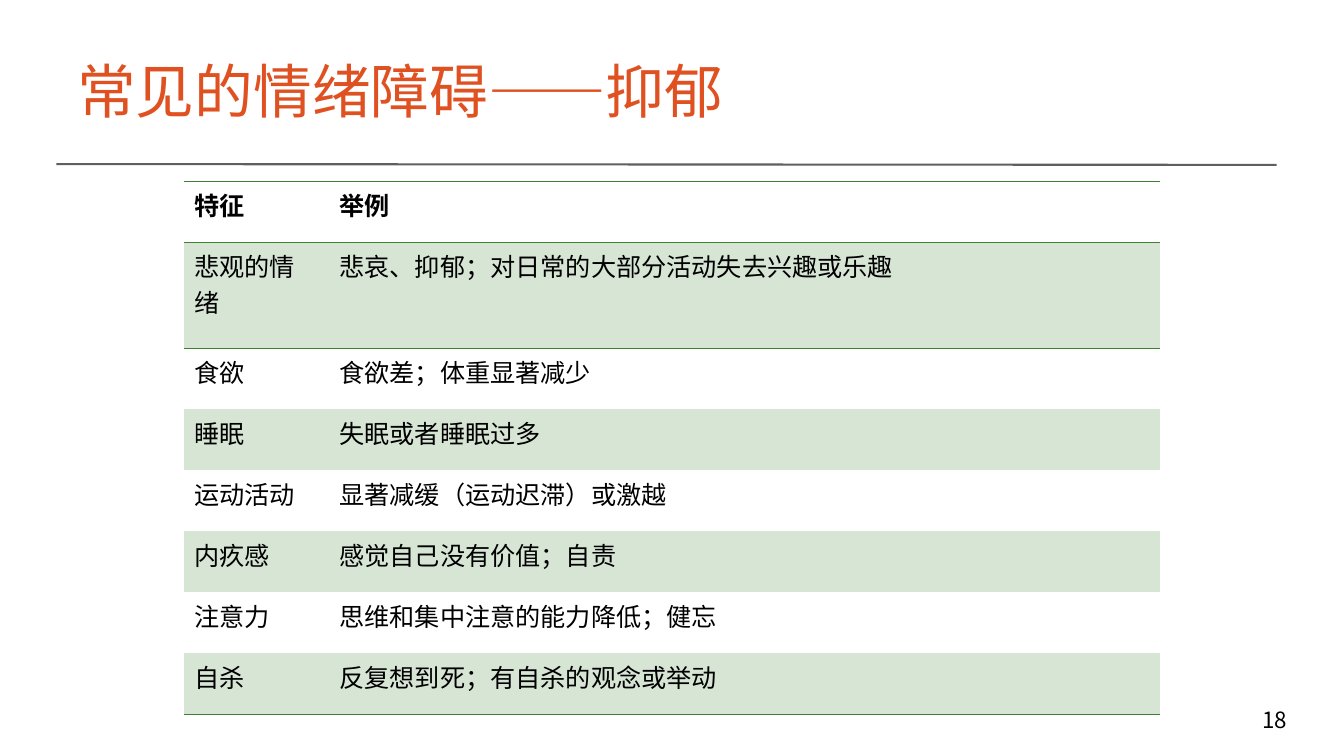
from lxml import etree
from pptx import Presentation
from pptx.dml.color import RGBColor
from pptx.enum.shapes import MSO_CONNECTOR
from pptx.enum.text import MSO_ANCHOR, PP_ALIGN
from pptx.oxml.ns import qn
from pptx.util import Cm, Pt

STRAIGHT = MSO_CONNECTOR.STRAIGHT
TOP = MSO_ANCHOR.TOP
LEFT, RIGHT = PP_ALIGN.LEFT, PP_ALIGN.RIGHT

BODY_FONT = "Noto Sans CJK SC"
TITLE_FONT = "Noto Sans CJK JP"
BLACK, ORANGE, GREY = "000000", "DF5121", "5F5F5F"
GREEN, PALE_GREEN = "3B812F", "D7E5D5"
PLAIN_TABLE_STYLE = "{2D5ABB26-0587-4C30-8999-92F81FD0307C}"

SYMPTOMS = [
    ("特征", "举例"),
    ("悲观的情绪", "悲哀、抑郁；对日常的大部分活动失去兴趣或乐趣"),
    ("食欲", "食欲差；体重显著减少"),
    ("睡眠", "失眠或者睡眠过多"),
    ("运动活动", "显著减缓（运动迟滞）或激越"),
    ("内疚感", "感觉自己没有价值；自责"),
    ("注意力", "思维和集中注意的能力降低；健忘"),
    ("自杀", "反复想到死；有自杀的观念或举动"),
]


def color(value):
    return RGBColor.from_string(value)


def write(frame, text, size=18, font=BODY_FONT, fill=BLACK, bold=False, align=LEFT):
    para = frame.paragraphs[0]
    para.alignment = align
    span = para.add_run()
    span.text = text
    span.font.size = Pt(size)
    span.font.bold = bold
    span.font.color.rgb = color(fill)
    span.font.name = font
    east_asian = etree.SubElement(span.font._element, qn("a:ea"))
    east_asian.set("typeface", font)


def add_border(cell, side, line_color, width):
    properties = cell._tc.get_or_add_tcPr()
    line = etree.SubElement(properties, qn(f"a:{side}"), w=str(Pt(width)))
    fill = etree.SubElement(line, qn("a:solidFill"))
    etree.SubElement(fill, qn("a:srgbClr"), val=line_color)


class SlideBuilder:
    def __init__(self, deck):
        self.slide = deck.slides.add_slide(deck.slide_layouts[6])

    def text(self, left, top, width, height, text, inset_top=0.13, **style):
        box = self.slide.shapes.add_textbox(Cm(left), Cm(top), Cm(width), Cm(height))
        frame = box.text_frame
        frame.word_wrap = True
        frame.vertical_anchor = TOP
        frame.margin_top = Cm(inset_top)
        write(frame, text, **style)

    def line(self, start, end, line_color, width):
        rule = self.slide.shapes.add_connector(
            STRAIGHT, *(Cm(length) for length in (*start, *end)))
        rule.line.color.rgb = color(line_color)
        rule.line.width = Pt(width)
        etree.SubElement(rule._element.spPr, qn("a:effectLst"))

    def table(self, left, top, widths, heights, rows):
        table = self.slide.shapes.add_table(
            len(rows), len(widths), Cm(left), Cm(top),
            Cm(sum(widths)), Cm(sum(heights))).table
        table.horz_banding = False
        table.first_row = False
        table._tbl.tblPr.find(qn("a:tableStyleId")).text = PLAIN_TABLE_STYLE
        for column, width in zip(table.columns, widths):
            column.width = Cm(width)
        for index, (row, height) in enumerate(zip(table.rows, heights)):
            row.height = Cm(height)
            for cell, text in zip(row.cells, rows[index]):
                write(cell.text_frame, text, bold=index == 0)
                # Rules frame the header and close the table
                if index in (0, 1):
                    add_border(cell, "lnT", GREEN, 0.45)
                if index in (0, len(rows) - 1):
                    add_border(cell, "lnB", GREEN, 0.45)
                # Every second row is tinted
                if index % 2:
                    cell.fill.solid()
                    cell.fill.fore_color.rgb = color(PALE_GREEN)
                else:
                    cell.fill.background()


def main():
    deck = Presentation()
    deck.slide_width, deck.slide_height = Cm(33.91), Cm(19.05)
    builder = SlideBuilder(deck)

    # Page number
    builder.text(29.24, 17.7, 3.48, 1.02, "18", size=16, align=RIGHT)

    # Title and rule
    builder.line((1.42, 4.14), (32.21, 4.16), GREY, 1.5)
    builder.text(1.7, 0.76, 30.5, 3.18, "常见的情绪障碍——抑郁", inset_top=0.63,
                 size=42, font=TITLE_FONT, fill=ORANGE)

    # Symptom table
    heights = [1.54, 2.67] + [1.54] * (len(SYMPTOMS) - 2)
    builder.table(4.65, 4.57, [3.66, 20.95], heights, SYMPTOMS)

    deck.save("out.pptx")


if __name__ == "__main__":
    main()
